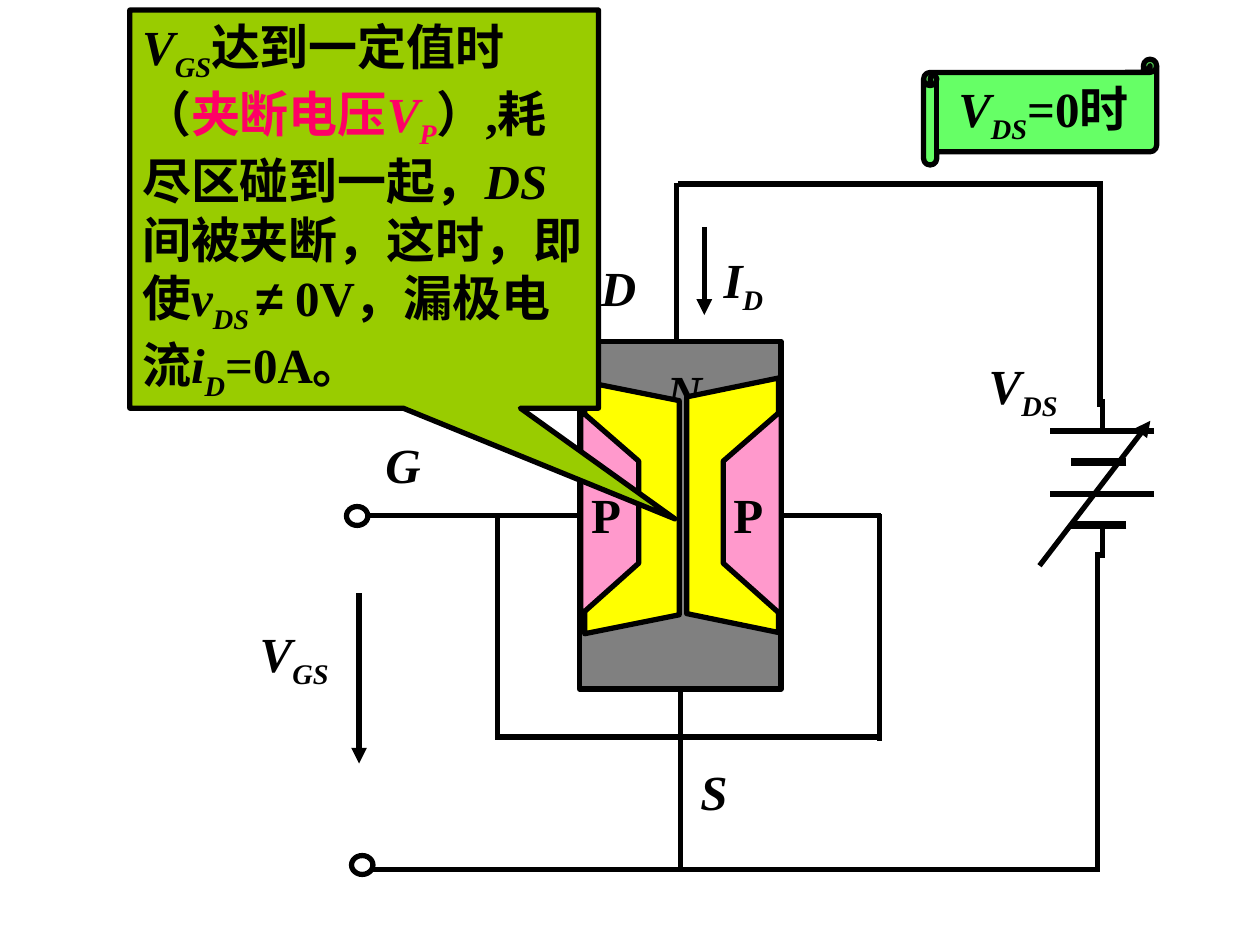
"""Build a slide on JFET channel pinch-off at zero drain-source voltage."""
from lxml import etree
from pptx import Presentation
from pptx.dml.color import RGBColor
from pptx.enum.shapes import MSO_CONNECTOR, MSO_SHAPE
from pptx.enum.text import MSO_ANCHOR, MSO_AUTO_SIZE, PP_ALIGN
from pptx.oxml.ns import qn
from pptx.util import Inches, Pt

STRAIGHT = MSO_CONNECTOR.STRAIGHT
LEFT, CENTER = PP_ALIGN.LEFT, PP_ALIGN.CENTER
TOP, MIDDLE = MSO_ANCHOR.TOP, MSO_ANCHOR.MIDDLE

COLORS = {
    "ink": "000000", "accent": "FF0066", "scroll": "66FF66", "callout": "99CC00",
    "channel": "808080", "depletion": "FFFF00", "p_region": "FF99CC",
}

STYLES = {
    "symbol": ("Times New Roman", True, False),
    "sub": ("Times New Roman", True, True),
    "plain": ("Times New Roman", False, False),
    "chinese": ("Arial", False, False),
}

SCROLL_TEXT = [("V", "symbol"), ("DS", "sub"), ("=0", "plain"), ("时", "chinese")]
CALLOUT_TEXT = [
    ("V", "symbol"), ("GS", "sub"), ("达到一定值时（", "chinese"),
    ("夹断电压", "chinese", "accent"), ("V", "symbol", "accent"), ("P", "sub", "accent"),
    ("）", "chinese"), (",", "plain"), ("耗尽区碰到一起，", "chinese"),
    ("DS", "symbol"), ("间被夹断，这时，即使", "chinese"),
    ("v", "symbol"), ("DS ", "sub"), ("≠", "chinese"), (" 0V", "plain"),
    ("，漏极电流", "chinese"), ("i", "symbol"), ("D", "sub"), ("=0A", "plain"),
    ("。", "chinese"),
]

LABELS = [
    ((4.92, 2.82, 1.02, 0.57), [("N", "symbol")], CENTER, MIDDLE, True),
    ((2.96, 3.4, 0.96, 0.57), [("G", "symbol")], LEFT, MIDDLE, True),
    ((5.46, 5.99, 0.67, 0.57), [("S", "symbol")], LEFT, MIDDLE, True),
    ((4.67, 1.99, 0.79, 0.57), [("D", "symbol")], LEFT, MIDDLE, True),
    ((7.63, 2.77, 0.98, 0.63), [("V", "symbol"), ("DS", "sub")], CENTER, MIDDLE, True),
    ((1.75, 4.9, 1.17, 0.63), [("V", "symbol"), ("GS", "sub")], CENTER, MIDDLE, True),
    ((5.6, 1.93, 0.6, 0.63), [("I", "symbol"), ("D", "sub")], CENTER, TOP, False),
]
P_LABEL_LEFTS = [4.58, 5.71]

BODY_BOX = (4.6, 2.71, 1.6, 2.76)
BODY_LEADS = [
    (1, (4.6, 4.09), (2.94, 4.09)),
    (2, (5.4, 5.47), (5.4, 6.9)),
    (3, (6.2, 4.09), (6.99, 4.09)),
]
WIRES = [
    ((5.37, 1.45), (5.37, 2.72)),
    ((6.98, 4.08), (6.98, 5.88)),
    ((6.98, 5.85), (3.93, 5.85)),
    ((3.95, 5.85), (3.95, 4.09)),
    ((5.38, 1.46), (8.75, 1.46)),
    ((8.73, 1.44), (8.73, 3.23)),
    ((8.71, 4.38), (8.71, 6.92)),
    ((8.73, 6.9), (2.94, 6.9)),
    ((8.75, 3.43), (8.75, 3.17)),
    ((8.75, 4.43), (8.75, 4.17)),
]
ARROWS = [
    ((8.25, 4.49), (9.13, 3.34)),
    ((2.85, 4.71), (2.85, 6.06)),
    ((5.59, 1.8), (5.59, 2.5)),
]
BATTERY_TOP, BATTERY_GAP = 3.42, 0.25
BATTERY_PLATES = [(8.33, 9.16, 3), (8.5, 8.94, 4.5)] * 2
TERMINALS = [(2.75, 4.02), (2.79, 6.79)]

REGIONS = [
    ("depletion", [(6.18, 5.02), (5.45, 4.87), (5.45, 3.15), (6.18, 3)]),
    ("depletion", [(4.64, 5.03), (5.39, 4.88), (5.39, 3.18), (4.64, 3.03)]),
    ("p_region", [(4.61, 3.26), (5.07, 3.66), (5.07, 4.47), (4.61, 4.88)]),
    ("p_region", [(6.2, 3.26), (5.74, 3.66), (5.74, 4.47), (6.2, 4.88)]),
]


def color(name):
    return RGBColor.from_string(COLORS[name])


def style_shape(shape, fill=None):
    shape.shadow.inherit = False
    if fill:
        shape.fill.solid()
        shape.fill.fore_color.rgb = color(fill)
    else:
        shape.fill.background()
    shape.line.color.rgb = color("ink")
    shape.line.width = Pt(3)


def add_box(slide, kind, box, fill=None):
    shape = slide.shapes.add_shape(kind, *map(Inches, box))
    style_shape(shape, fill)
    return shape


def write_text(shape, runs, align=CENTER, anchor=MIDDLE, wrap=True):
    frame = shape.text_frame
    frame.word_wrap = wrap
    frame.auto_size = MSO_AUTO_SIZE.SHAPE_TO_FIT_TEXT
    frame.vertical_anchor = anchor
    paragraph = frame.paragraphs[0]
    paragraph.alignment = align
    paragraph._p.get_or_add_pPr().set("hangingPunct", "0")
    paragraph.font.size = Pt(28)
    paragraph.font.bold = True
    for text, style, *tint in runs:
        run = paragraph.add_run()
        run.text = text
        run.font.name, run.font.italic, lowered = STYLES[style]
        run.font.color.rgb = color(tint[0] if tint else "ink")
        if lowered:
            run.font._element.set("baseline", "-25000")


def add_label(slide, box, runs, align=CENTER, anchor=MIDDLE, wrap=True):
    label = slide.shapes.add_textbox(*map(Inches, box))
    write_text(label, runs, align, anchor, wrap)


def add_line(slide, start, end, width=3, arrow=False):
    line = slide.shapes.add_connector(STRAIGHT, *map(Inches, start + end))
    line.line.color.rgb = color("ink")
    line.line.width = Pt(width)
    if arrow:
        etree.SubElement(line.line._get_or_add_ln(), qn("a:tailEnd"), type="triangle")
    etree.SubElement(line._element.spPr, qn("a:effectLst"))
    return line


def add_region(slide, fill, points):
    corners = [(Inches(x), Inches(y)) for x, y in points]
    builder = slide.shapes.build_freeform(*corners[0], scale=1.0)
    builder.add_line_segments(corners[1:], close=True)
    style_shape(builder.convert_to_shape(), fill)


def main():
    presentation = Presentation()
    presentation.slide_width, presentation.slide_height = Inches(10), Inches(7.5)
    slide = presentation.slides.add_slide(presentation.slide_layouts[6])

    scroll = add_box(slide, MSO_SHAPE.HORIZONTAL_SCROLL, (7.33, 0.47, 1.85, 0.84), "scroll")
    write_text(scroll, SCROLL_TEXT, wrap=False)

    body = add_box(slide, MSO_SHAPE.RECTANGLE, BODY_BOX, "channel")
    for side, start, end in BODY_LEADS:
        add_line(slide, start, end).begin_connect(body, side)
    for start, end in WIRES:
        add_line(slide, start, end)
    for start, end in ARROWS:
        add_line(slide, start, end, arrow=True)
    for index, (left, right, width) in enumerate(BATTERY_PLATES):
        y = BATTERY_TOP + index * BATTERY_GAP
        add_line(slide, (right, y), (left, y), width)
    for left, top in TERMINALS:
        add_box(slide, MSO_SHAPE.OVAL, (left, top, 0.17, 0.15))

    for label in LABELS:
        add_label(slide, *label)
    for fill, points in REGIONS:
        add_region(slide, fill, points)
    for left in P_LABEL_LEFTS:
        add_label(slide, (left, 3.79, 0.46, 0.57), [("P", "plain")])

    callout = add_box(slide, MSO_SHAPE.RECTANGULAR_CALLOUT, (1.03, 0.08, 3.72, 3.16), "callout")
    callout.adjustments[0], callout.adjustments[1] = 0.663, 0.778
    write_text(callout, CALLOUT_TEXT, LEFT)

    presentation.save("out.pptx")


if __name__ == "__main__":
    main()
